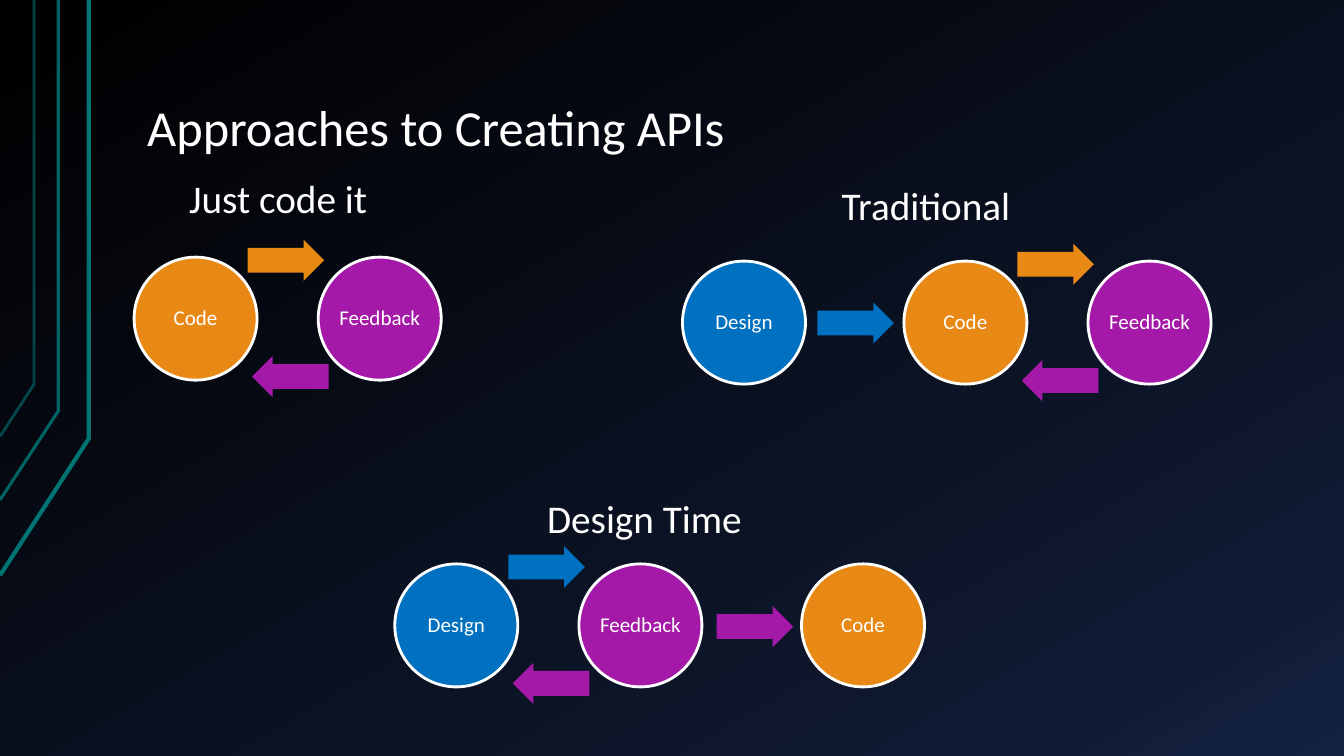
from copy import deepcopy
from dataclasses import dataclass

from lxml.etree import SubElement
from pptx import Presentation
from pptx.dml.color import RGBColor
from pptx.enum.shapes import MSO_SHAPE as Preset
from pptx.enum.text import MSO_ANCHOR as Anchor, MSO_AUTO_SIZE as AutoSize, PP_ALIGN as Align
from pptx.oxml.ns import qn
from pptx.util import Cm, Pt

COLORS = {
    "white": "FFFFFF", "teal": "007373",
    "Design": "0070C0", "Code": "E98915", "Feedback": "A419A7",
}
BACKGROUND_STOPS = [(0, "000000"), (0.85, "0F1931"), (1, "142242")]
DIAMETER = 3.1
ARROW_SIZE = (1.93, 1.04)
LOOP_PITCH = 4.64


@dataclass
class Heading:
    text: str
    left: float
    top: float
    width: float


@dataclass
class Stage:
    name: str
    left: float
    top: float


@dataclass
class Arrow:
    stage: str
    left: float
    top: float
    rotation: int = 0


@dataclass
class Loop:
    """Two stages joined by an arrow there and an arrow back."""
    first: str
    second: str
    left: float
    top: float


@dataclass
class Trace:
    points: list[tuple[float, float]]
    weight: float
    opacity: int


HEADINGS = [
    Heading("Just code it", 4.52, 4.27, 5.05),
    Heading("Traditional", 20.96, 4.45, 4.8),
    Heading("Design Time", 13.54, 12.34, 5.46),
]
LOOPS = [
    Loop("Code", "Feedback", 3.38, 6.48),
    Loop("Code", "Feedback", 22.78, 6.58),
    Loop("Design", "Feedback", 9.95, 14.21),
]
SINGLE_STAGES = [Stage("Design", 17.2, 6.58), Stage("Code", 20.2, 14.21)]
SINGLE_ARROWS = [Arrow("Design", 20.6, 7.62), Arrow("Feedback", 18.06, 15.27)]
TRACES = [
    Trace([(0, 14.5), (2.24, 11.05), (2.24, 0)], 3, 100),
    Trace([(0, 12.6), (1.47, 10.36), (1.47, 0)], 2.25, 85),
    Trace([(0, 11), (0.86, 9.68), (0.86, 0)], 2, 60),
]


def color(name: str) -> RGBColor:
    return RGBColor.from_string(COLORS[name])


def apply_format(target, values: dict) -> None:
    for name, value in values.items():
        setattr(target, name, value)


def write_text(shape, text: str, size: float, frame_format: dict, paragraph_format: dict) -> None:
    frame = shape.text_frame
    frame.text = text
    apply_format(frame, frame_format)
    paragraph = frame.paragraphs[0]
    apply_format(paragraph, paragraph_format)
    font = paragraph.runs[0].font
    apply_format(font, {"size": Pt(size), "name": "Calibri"})
    font.color.rgb = color("white")


def paint_background(slide) -> None:
    fill = slide.background.fill
    fill.gradient()
    fill.gradient_angle = 300
    stop_list = slide.element.find(".//" + qn("a:gsLst"))
    stop_list.append(deepcopy(stop_list[-1]))
    for stop, (position, value) in zip(fill.gradient_stops, BACKGROUND_STOPS):
        stop.position = position
        stop.color.rgb = RGBColor.from_string(value)


def draw_trace(slide, trace: Trace) -> None:
    points = [(Cm(x), Cm(y)) for x, y in trace.points]
    builder = slide.shapes.build_freeform(*points[0])
    builder.add_line_segments(points[1:], close=False)
    shape = builder.convert_to_shape()
    shape.shadow.inherit = False
    shape.fill.background()
    shape.line.color.rgb = color("teal")
    shape.line.width = Pt(trace.weight)
    line_color = shape.line._ln.find(".//" + qn("a:srgbClr"))
    SubElement(line_color, qn("a:alpha"), val=str(trace.opacity * 1000))


def add_filled_shape(slide, preset, fill: str, left: float, top: float, width: float, height: float):
    shape = slide.shapes.add_shape(preset, Cm(left), Cm(top), Cm(width), Cm(height))
    shape.shadow.inherit = False
    shape.fill.solid()
    shape.fill.fore_color.rgb = color(fill)
    return shape


def draw_stage(slide, stage: Stage) -> None:
    circle = add_filled_shape(slide, Preset.OVAL, stage.name, stage.left, stage.top, DIAMETER, DIAMETER)
    circle.line.color.rgb = color("white")
    circle.line.width = Pt(2)
    margins = dict.fromkeys(("margin_left", "margin_top", "margin_right", "margin_bottom"), Cm(0.05))
    write_text(circle, stage.name, 15,
               {"vertical_anchor": Anchor.MIDDLE, "word_wrap": False, **margins},
               {"alignment": Align.CENTER, "line_spacing": 0.9})


def draw_arrow(slide, arrow: Arrow) -> None:
    shape = add_filled_shape(slide, Preset.RIGHT_ARROW, arrow.stage, arrow.left, arrow.top, *ARROW_SIZE)
    shape.line.fill.background()
    shape.adjustments[0] = 0.6
    shape.adjustments[1] = 0.5
    shape.rotation = arrow.rotation


def draw_loop(slide, loop: Loop) -> None:
    draw_stage(slide, Stage(loop.first, loop.left, loop.top))
    draw_arrow(slide, Arrow(loop.first, loop.left + 2.86, loop.top - 0.44))
    draw_stage(slide, Stage(loop.second, loop.left + LOOP_PITCH, loop.top))
    draw_arrow(slide, Arrow(loop.second, loop.left + 2.97, loop.top + 2.49, 180))


def draw_heading(slide, heading: Heading) -> None:
    box = slide.shapes.add_textbox(Cm(heading.left), Cm(heading.top), Cm(heading.width), Cm(1.45))
    write_text(box, heading.text, 28,
               {"word_wrap": False, "auto_size": AutoSize.SHAPE_TO_FIT_TEXT}, {})


def main() -> None:
    presentation = Presentation()
    apply_format(presentation, {"slide_width": Cm(33.87), "slide_height": Cm(19.05)})
    slide = presentation.slides.add_slide(presentation.slide_layouts[5])

    # Background and corner lines
    paint_background(slide)
    for trace in TRACES:
        draw_trace(slide, trace)

    # Title
    title = slide.shapes.title
    apply_format(title, {"left": Cm(3.38), "top": Cm(0.76), "width": Cm(28.78), "height": Cm(3.4)})
    write_text(title, "Approaches to Creating APIs", 36,
               {"vertical_anchor": Anchor.BOTTOM, "auto_size": AutoSize.NONE,
                "margin_left": Cm(0.33), "margin_right": Cm(0.33),
                "margin_top": Cm(0.18), "margin_bottom": Cm(0.18)},
               {"alignment": Align.LEFT, "line_spacing": 0.9})

    # Three approaches
    for heading in HEADINGS:
        draw_heading(slide, heading)
    for loop in LOOPS:
        draw_loop(slide, loop)
    for stage in SINGLE_STAGES:
        draw_stage(slide, stage)
    for arrow in SINGLE_ARROWS:
        draw_arrow(slide, arrow)

    presentation.save("out.pptx")


if __name__ == "__main__":
    main()
